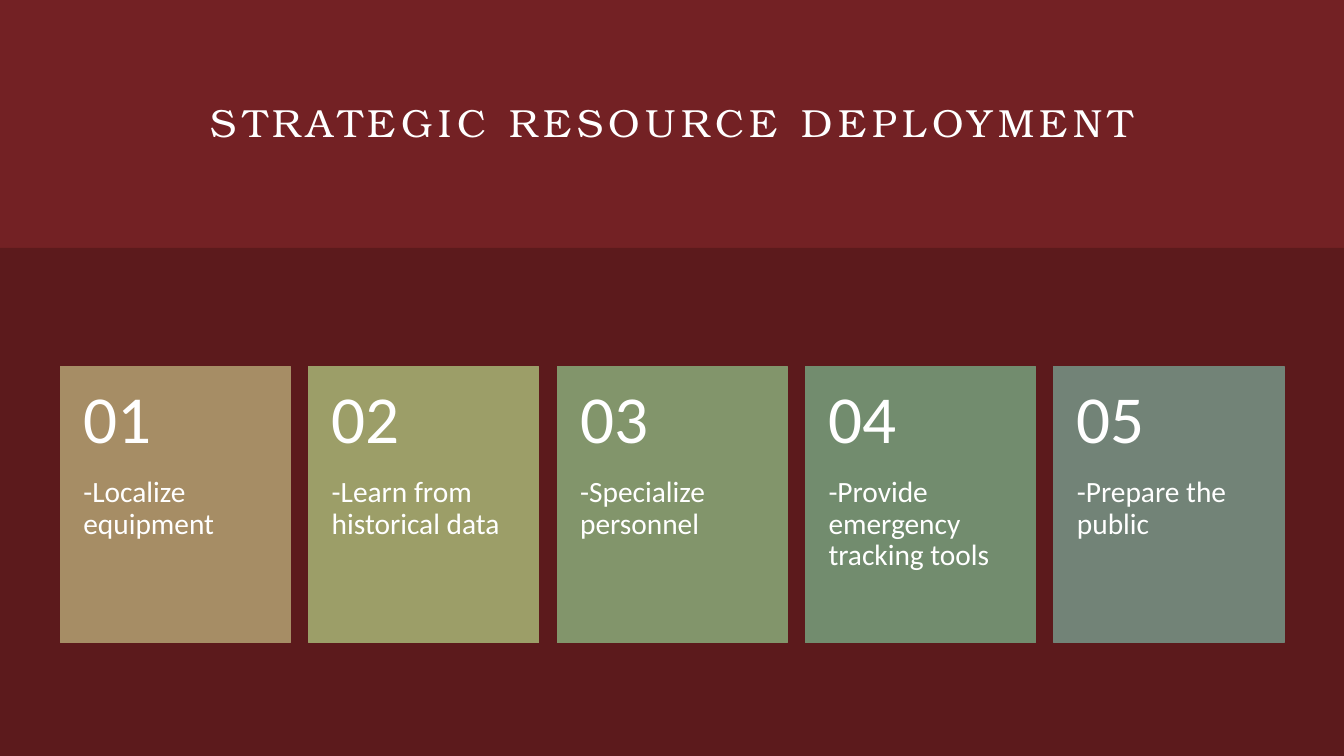
from pptx import Presentation
from pptx.dml.color import RGBColor
from pptx.enum.shapes import MSO_SHAPE
from pptx.enum.text import MSO_ANCHOR, PP_ALIGN
from pptx.util import Cm, Pt


def color(value):
    return RGBColor.from_string(value)


class SlideBuilder:
    background = "732124"
    band = "5C1A1C"
    text_color = "FFFFFF"
    title_font = "TeX Gyre Bonum"
    body_font = "Calibri"

    def __init__(self, presentation):
        self.slide = presentation.slides.add_slide(presentation.slide_layouts[6])
        self.shapes = self.slide.shapes
        fill = self.slide.background.fill
        fill.solid()
        fill.fore_color.rgb = color(self.background)

    def rectangle(self, left, top, width, height, fill, outlined=False):
        shape = self.shapes.add_shape(
            MSO_SHAPE.RECTANGLE, Cm(left), Cm(top), Cm(width), Cm(height))
        shape.shadow.inherit = False
        shape.fill.solid()
        shape.fill.fore_color.rgb = color(fill)
        if outlined:
            shape.line.color.rgb = color(fill)
            shape.line.width = Pt(0.75)
        else:
            shape.line.fill.background()

    def text(self, text, left, top, width, height, size, font, insets=(0, 0, 0, 0),
             anchor=MSO_ANCHOR.MIDDLE, alignment=PP_ALIGN.LEFT, line_spacing=1.0):
        box = self.shapes.add_textbox(Cm(left), Cm(top), Cm(width), Cm(height))
        frame = box.text_frame
        frame.word_wrap = True
        frame.vertical_anchor = anchor
        (frame.margin_left, frame.margin_top,
         frame.margin_right, frame.margin_bottom) = map(Cm, insets)
        frame.text = text
        paragraph = frame.paragraphs[0]
        paragraph.alignment = alignment
        paragraph.line_spacing = line_spacing
        run = paragraph.runs[0]
        run.font.size = Pt(size)
        run.font.name = font
        run.font.color.rgb = color(self.text_color)
        return run

    def title(self, text):
        run = self.text(text, 3, 1.5, 27.87, 3.12, 28, self.title_font,
                        alignment=PP_ALIGN.CENTER)
        run.font._element.set("spc", "400")

    def card(self, number, text, left, top, fill):
        width, height, number_height = 5.8, 6.96, 2.78
        self.rectangle(left, top, width, height, fill, outlined=True)
        self.text(text, left, top + number_height, width, height - number_height,
                  21, self.body_font, insets=(0.58, 0, 0.58, 0.91),
                  anchor=MSO_ANCHOR.TOP, line_spacing=0.9)
        self.text(f"{number:02d}", left, top, width, number_height,
                  48, self.body_font, insets=(0.58, 0.46, 0.58, 0.46),
                  line_spacing=0.9)


def main():
    presentation = Presentation()
    presentation.slide_width = Cm(33.87)
    presentation.slide_height = Cm(19.05)

    builder = SlideBuilder(presentation)
    builder.title("STRATEGIC RESOURCE DEPLOYMENT")
    builder.rectangle(0, 6.25, 33.87, 12.8, builder.band)

    cards = [
        ("-Localize equipment", "A68D65"),
        ("-Learn from historical data", "9C9E68"),
        ("-Specialize personnel", "82956B"),
        ("-Provide emergency tracking tools", "728C6E"),
        ("-Prepare the public", "728377"),
    ]
    for index, (text, fill) in enumerate(cards):
        builder.card(index + 1, text, 1.52 + index * 6.26, 9.24, fill)

    presentation.save("out.pptx")


if __name__ == "__main__":
    main()
